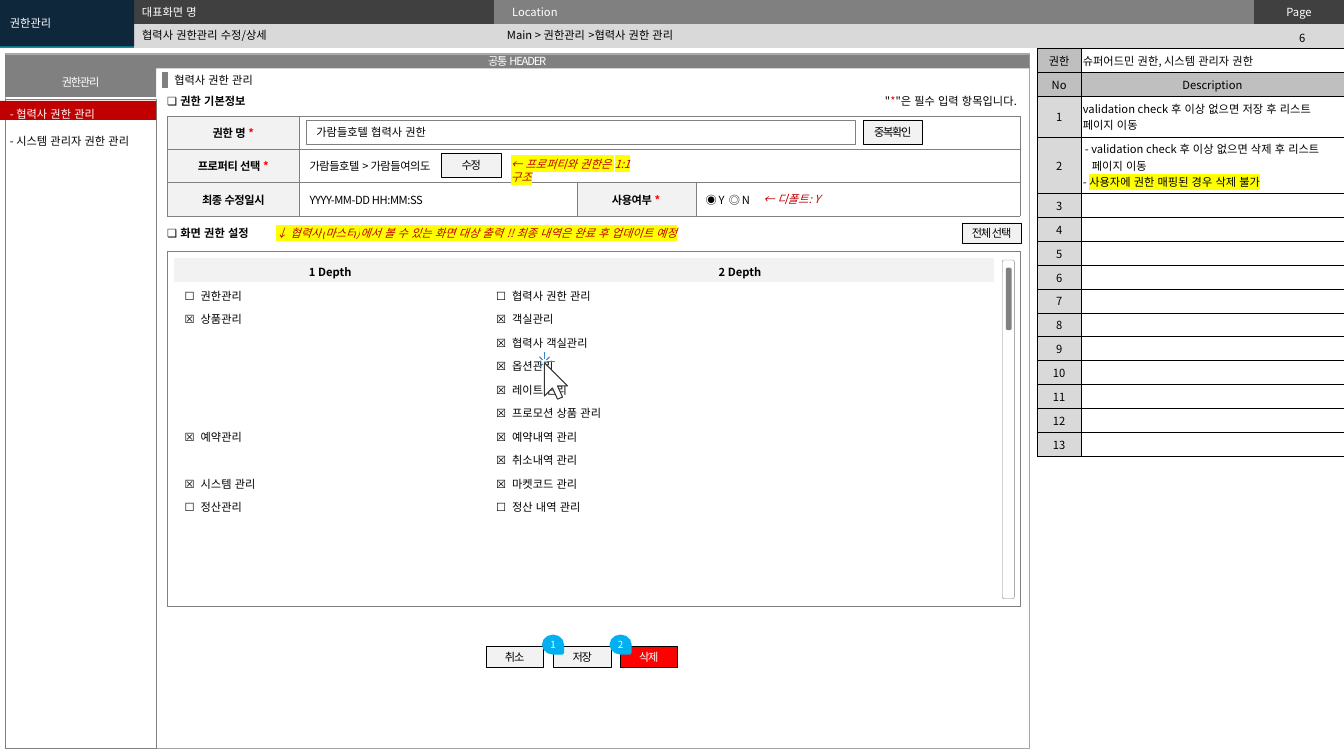
from dataclasses import dataclass, field
from typing import NamedTuple, Optional

from lxml.etree import SubElement
from pptx import Presentation
from pptx.dml.color import RGBColor
from pptx.enum.lang import MSO_LANGUAGE_ID
from pptx.enum.shapes import MSO_CONNECTOR, MSO_SHAPE
from pptx.enum.text import MSO_ANCHOR, PP_ALIGN
from pptx.oxml.ns import qn
from pptx.util import Inches, Pt

FONT = "Noto Sans CJK KR"
NO_STYLE = "{2D5ABB26-0587-4C30-8999-92F81FD0307C}"
COLOURS = {
    "black": "000000", "white": "FFFFFF", "navy": "0E273B", "teal": "009CA6",
    "charcoal": "404040", "gray": "808080", "frame": "A6A6A6", "label": "BFBFBF",
    "number": "D9D9D9", "pale": "F2F2F2", "red": "FF0000", "crimson": "C00000",
    "yellow": "FFFF00", "sky": "00B0F0", "cursor": "333333", "burst": "3483CB",
}
LEFT, CENTER, RIGHT = PP_ALIGN.LEFT, PP_ALIGN.CENTER, PP_ALIGN.RIGHT
TOP, MIDDLE = MSO_ANCHOR.TOP, MSO_ANCHOR.MIDDLE
# Side, top and bottom margins
NORMAL, NONE = (0.1, 0.05, 0.05), (0, 0, 0)


class Span(NamedTuple):
    text: str
    colour: Optional[str] = None
    highlight: Optional[str] = None


@dataclass
class Cell:
    paras: list = field(default_factory=list)
    fill: Optional[str] = None
    format: dict = field(default_factory=dict)


class Button(NamedTuple):
    text: str
    left: float
    top: float
    width: float
    height: float
    fill: str = "pale"
    colour: str = "black"


def rgb(name: str) -> RGBColor:
    return RGBColor.from_string(COLOURS[name])


def paint(fill, name: Optional[str]) -> None:
    if name:
        fill.solid()
        fill.fore_color.rgb = rgb(name)
    else:
        fill.background()


def write_text(frame, paras, size=8, colour="black", bold=False, italic=False, highlight=None,
               spacing=0, align=LEFT, line_spacing=None, tab=0, indents=()) -> None:
    """Each paragraph is a string or a list of Spans."""
    for index, content in enumerate(paras):
        para = frame.paragraphs[0] if index == 0 else frame.add_paragraph()
        properties = para._p.get_or_add_pPr()
        if indents:
            properties.set("marL", str(Inches(indents[index])))
        if tab:
            stops = SubElement(properties, qn("a:tabLst"))
            SubElement(stops, qn("a:tab"), pos=str(Inches(tab)), algn="l")
        para.alignment = align
        para.space_before = Pt(0)
        if line_spacing:
            para.line_spacing = line_spacing
        for span in [Span(content)] if isinstance(content, str) else content:
            run = para.add_run()
            run.text = span.text
            font = run.font
            font.size, font.bold, font.italic, font.name = Pt(size), bold, italic, FONT
            font.language_id = MSO_LANGUAGE_ID.KOREAN
            font.color.rgb = rgb(span.colour or colour)
            marks = run._r.get_or_add_rPr()
            if spacing:
                marks.set("spc", str(round(spacing * 100)))
            east_asian = SubElement(marks, qn("a:ea"), typeface=FONT)
            marks.find(qn("a:latin")).addnext(east_asian)
            marker = span.highlight or highlight
            if marker:
                shade = SubElement(marks, qn("a:highlight"))
                SubElement(shade, qn("a:srgbClr"), val=COLOURS[marker])
                marks.find(qn("a:solidFill")).addnext(shade)


def set_margins(holder, anchor, insets) -> None:
    """Holder is a text frame or a table cell."""
    side, top, bottom = map(Inches, insets)
    holder.word_wrap = True
    holder.vertical_anchor = anchor
    holder.margin_left = holder.margin_right = side
    holder.margin_top, holder.margin_bottom = top, bottom


def add_text(page, left, top, width, height, *paras, anchor=TOP, **format):
    box = page.shapes.add_textbox(*map(Inches, (left, top, width, height)))
    set_margins(box.text_frame, anchor, NORMAL)
    write_text(box.text_frame, paras, **format)
    return box


def style_outline(shape, fill, line, weight) -> None:
    shape.shadow.inherit = False
    paint(shape.fill, fill)
    paint(shape.line.fill, line)
    if line:
        shape.line.width = Pt(weight)


def add_panel(page, left, top, width, height, *paras, fill=None, line=None, weight=0.25,
              kind=MSO_SHAPE.RECTANGLE, insets=NORMAL, **format):
    shape = page.shapes.add_shape(kind, *map(Inches, (left, top, width, height)))
    style_outline(shape, fill, line, weight)
    set_margins(shape.text_frame, MIDDLE, insets)
    write_text(shape.text_frame, paras, **format)
    return shape


def add_grid(page, left, top, columns, rows, cells, merges=(), border=None, weight=0.25,
             insets=NORMAL, anchor=MIDDLE) -> None:
    area = map(Inches, (left, top, sum(columns), sum(rows)))
    table = page.shapes.add_table(len(rows), len(columns), *area).table
    table._tbl.tblPr.find(qn("a:tableStyleId")).text = NO_STYLE
    table.first_row = table.horz_banding = False
    for column, width in zip(table.columns, columns):
        column.width = Inches(width)
    for row, height in zip(table.rows, rows):
        row.height = Inches(height)
    for row, contents in enumerate(cells):
        for column, content in enumerate(contents):
            cell = table.cell(row, column)
            set_margins(cell, anchor, insets)
            for edge in ("lnL", "lnR", "lnT", "lnB") if border else ():
                line = SubElement(cell._tc.get_or_add_tcPr(), qn(f"a:{edge}"), w=str(Pt(weight)))
                SubElement(SubElement(line, qn("a:solidFill")), qn("a:srgbClr"), val=COLOURS[border])
            paint(cell.fill, content.fill)
            write_text(cell.text_frame, content.paras, **content.format)
            if not content.paras:
                SubElement(cell.text_frame.paragraphs[0]._p, qn("a:endParaRPr"), sz="800")
    for first, last in merges:
        table.cell(*first).merge(table.cell(*last))


def add_outline(page, strokes, closed, fill, line) -> None:
    """Strokes are lists of points in hundredths of an inch."""
    builder = page.shapes.build_freeform(*strokes[0][0], scale=Inches(1) / 100)
    for index, (start, *others) in enumerate(strokes):
        if index:
            builder.move_to(*start)
        builder.add_line_segments(others, close=closed)
    style_outline(builder.convert_to_shape(), fill, line, 0.75)


def add_header(page) -> None:
    add_grid(page, 0, 0, [1.33, 3.57, 7.54, 0.89], [0.24, 0.24], [
        [Cell(fill="teal"), Cell(fill="charcoal"), Cell(["Location"], "gray", {"colour": "white"}),
         Cell(["Page"], "charcoal", {"colour": "white", "align": CENTER})],
        [Cell(fill="teal")] + [Cell(fill="number")] * 3,
    ], merges=[((0, 0), (1, 0))], insets=(0.18, 0.03, 0.04), anchor=TOP)
    add_text(page, 12.5, 0.26, 0.83, 0.24, "6", align=CENTER)
    add_panel(page, 0.05, 0.53, 10.16, 6.89, line="frame")
    # The title lies in front of the header band
    title = page.shapes.title
    page.shapes._spTree.append(title._element)
    title.left, title.top, title.width, title.height = map(Inches, (1.31, 0.24, 3.63, 0.22))
    set_margins(title.text_frame, MIDDLE, NORMAL)
    write_text(title.text_frame, ["협력사 권한관리 수정/상세"])
    add_text(page, 4.93, 0.23, 7.38, 0.24, "Main > 권한관리 >협력사 권한 관리", anchor=MIDDLE)
    add_text(page, 1.31, 0, 3.62, 0.22, "대표화면 명", colour="white")
    add_panel(page, 0, 0, 1.33, 0.46, "권한관리", fill="navy", colour="white")


def add_sidebar(page) -> None:
    add_panel(page, 0.05, 0.98, 1.5, 6.44, line="gray")
    for area, text in (((0.05, 0.54, 10.16, 0.14), "공통 HEADER"), ((0.05, 0.67, 1.5, 0.29), "권한관리")):
        add_panel(page, *area, text, fill="gray", colour="white", align=CENTER, spacing=-0.9)
    add_panel(page, 0, 1, 1.55, 0.19, fill="crimson")
    add_text(page, 0, 0.88, 1.44, 0.6, [Span("- 협력사 권한 관리", "white")],
             "- 시스템 관리자 권한 관리", line_spacing=2.0)


def add_description(page) -> None:
    notes = [
        Cell(["validation check 후 이상 없으면 저장 후 리스트", "페이지 이동"]),
        Cell(["- validation check 후 이상 없으면 삭제 후 리스트", "페이지 이동",
              [Span("- "), Span("사용자에 권한 매핑된 경우 삭제 불가", highlight="yellow")]],
             format={"indents": (0.02, 0.09, 0)}),
    ] + [Cell() for _ in range(11)]
    centred = {"align": CENTER}
    cells = [[Cell(["권한"], "label", centred), Cell(["슈퍼어드민 권한, 시스템 관리자 권한"])],
             [Cell(["No"], "label", centred), Cell(["Description"], "label", centred)]]
    cells += [[Cell([str(number)], "number", centred), note] for number, note in enumerate(notes, 1)]
    add_grid(page, 10.29, 0.48, [0.43, 2.61], [0.24, 0.24, 0.4, 0.56] + [2.61 / 11] * 11, cells,
             border="black", weight=0.5, insets=(0.02, 0.03, 0.03))


def add_basic_form(page) -> None:
    add_text(page, 1.63, 0.68, 2.41, 0.24, "협력사 권한 관리")
    bar = page.shapes.add_connector(MSO_CONNECTOR.STRAIGHT, *map(Inches, (1.64, 0.71, 1.64, 0.87)))
    bar.line.color.rgb, bar.line.width = rgb("gray"), Pt(4.5)
    SubElement(bar._element.spPr, qn("a:effectLst"))

    def label(text: str, required: bool = True) -> Cell:
        spans = [Span(text + " "), Span("*", "red")] if required else [Span(text)]
        return Cell([spans], "pale", {"bold": True, "align": CENTER, "spacing": -0.3})

    blank, tight = Cell(fill="white"), {"spacing": -0.3}
    add_grid(page, 1.66, 1.15, [1.31, 2.75, 1.18, 3.22], [0.33] * 3, [
        [label("권한 명"), blank, blank, blank],
        [label("프로퍼티 선택"), Cell(["가람들호텔 > 가람들여의도"], "white", tight), blank, blank],
        [label("최종 수정일시", False), Cell(["YYYY-MM-DD HH:MM:SS"], "white", tight),
         label("사용여부"), Cell(["◉ Y\t◎ N"], "white", {"tab": 0.23, "spacing": -0.3})],
    ], merges=[((row, 1), (row, 3)) for row in (0, 1)], border="gray")
    add_text(page, 1.56, 0.89, 1.8, 0.24, "❏ 권한 기본정보", bold=True)
    add_panel(page, 3.04, 1.19, 5.44, 0.24, "가람들호텔 협력사 권한", fill="white", line="gray")
    add_text(page, 8.53, 0.89, 1.68, 0.24,
             [Span('"'), Span("*", "red"), Span('"은 필수 입력 항목입니다. ')], align=RIGHT)
    add_text(page, 7.47, 1.86, 0.9, 0.24, "← 디폴트: Y", colour="crimson", italic=True)


def add_permissions(page) -> None:
    add_text(page, 1.56, 2.2, 1.8, 0.24, "❏ 화면 권한 설정", bold=True)
    # Scroll bar and list frame
    add_panel(page, 9.94, 2.58, 0.12, 3.36, kind=MSO_SHAPE.ROUNDED_RECTANGLE, fill="white", line="gray")
    add_panel(page, 9.99, 2.67, 0.03, 0.59, kind=MSO_SHAPE.ROUNDED_RECTANGLE,
              fill="gray", line="gray", weight=2)
    add_panel(page, 1.66, 2.49, 8.46, 3.52, line="gray")
    # Check list by menu depth
    menus = [("☐ 권한관리", "☐ 협력사 권한 관리"), ("☒ 상품관리", "☒ 객실관리"),
             ("", "☒ 협력사 객실관리"), ("", "☒ 옵션관리"), ("", "☒ 레이트 관리"),
             ("", "☒ 프로모션 상품 관리"), ("☒ 예약관리", "☒ 예약내역 관리"),
             ("", "☒ 취소내역 관리"), ("☒ 시스템 관리", "☒ 마켓코드 관리"),
             ("☐ 정산관리", "☐ 정산 내역 관리"), ("", ""), ("", "")]
    cells = [[Cell([f"{depth} Depth"], "pale", {"bold": True, "align": CENTER}) for depth in (1, 2)]]
    cells += [[Cell([text.replace(" ", "\t", 1)] if text else [], "white", {"tab": 0.16})
               for text in menu] for menu in menus]
    add_grid(page, 1.73, 2.56, [3.09, 5.04], [3.03 / 13] * 13, cells, insets=(0.1, 0.05, 0.01))
    # Mouse cursor with click burst
    add_outline(page, [[(558, 394), (553, 383), (563, 383), (540, 360), (540, 393), (548, 385),
                        (553, 396)]], True, "white", "cursor")
    add_outline(page, [[(538, 361), (535, 364)], [(538, 357), (535, 354)], [(542, 357), (545, 354)],
                       [(537, 359), (531, 359)], [(540, 356), (540, 349)], [(543, 359), (550, 359)]],
                False, None, "burst")


def add_controls(page) -> None:
    for button in (Button("중복확인", 8.56, 1.19, 0.59, 0.24), Button("수정", 4.38, 1.52, 0.59, 0.24),
                   Button("전체 선택", 9.54, 2.21, 0.59, 0.2), Button("취소", 4.82, 6.41, 0.57, 0.21),
                   Button("저장", 5.49, 6.41, 0.57, 0.21),
                   Button("삭제", 6.15, 6.41, 0.57, 0.21, "red", "white")):
        add_panel(page, *button[1:5], button.text, fill=button.fill, line="black",
                  insets=NONE, colour=button.colour, align=CENTER, spacing=-0.9)
    # Highlighted remarks
    for area, text in (
        ((2.64, 2.2, 4.24, 0.24), "↓ 협력사(마스터)에서 볼 수 있는 화면 대상 출력 !! 최종 내역은 완료 후 업데이트 예정"),
        ((4.97, 1.51, 1.5, 0.24), "← 프로퍼티와 권한은 1:1 구조"),
    ):
        add_text(page, *area, text, colour="crimson", italic=True, highlight="yellow")
    # Numbered markers, turned with their text kept upright
    for number, left in ((1, 5.4), (2, 6.07)):
        marker = add_panel(page, left, 6.3, 0.17, 0.19, str(number), kind=MSO_SHAPE.TEAR, fill="sky",
                           line="sky", weight=2, insets=NONE, size=7, colour="white", align=CENTER)
        marker.rotation = 90
        marker.text_frame._txBody.bodyPr.set("vert", "vert270")


def main() -> None:
    deck = Presentation()
    deck.slide_width, deck.slide_height = Inches(13.33), Inches(7.5)
    page = deck.slides.add_slide(deck.slide_layouts[5])
    for add_part in (add_header, add_sidebar, add_description, add_basic_form,
                     add_permissions, add_controls):
        add_part(page)
    deck.save("out.pptx")


if __name__ == "__main__":
    main()
